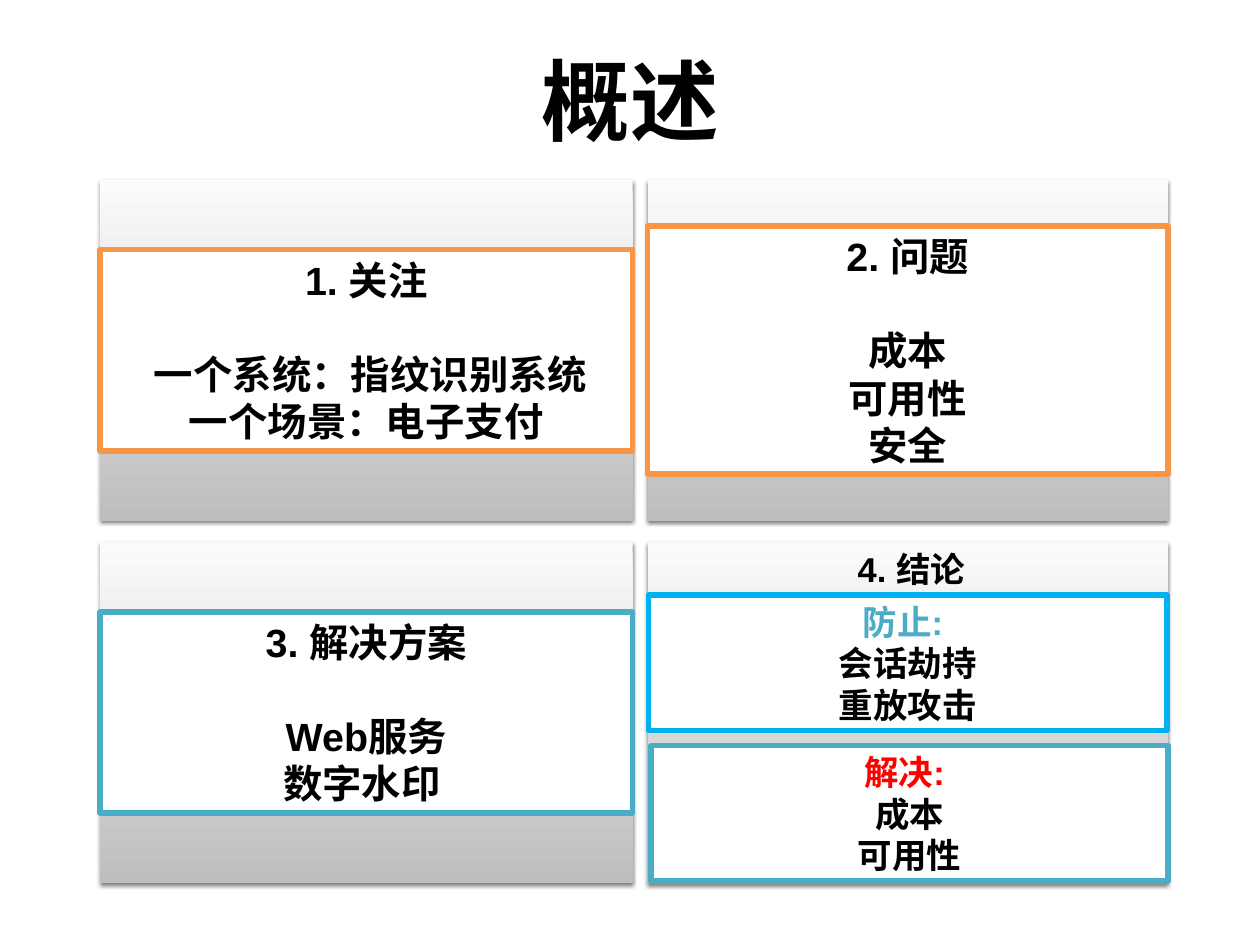
"""Build the overview slide: four grey panels with framed topic boxes."""
from lxml import etree
from pptx import Presentation
from pptx.dml.color import RGBColor
from pptx.enum.shapes import MSO_SHAPE as Shape
from pptx.enum.text import MSO_ANCHOR as Anchor, MSO_AUTO_SIZE as AutoSize, PP_ALIGN as Align
from pptx.oxml.ns import qn
from pptx.util import Inches, Pt

COLORS = {
    "black": "000000", "white": "FFFFFF", "red": "FF0000",
    "orange": "F79646", "teal": "4BACC6", "blue": "00B0F0",
    "light": "FBFBFB", "grey": "BEBEBE",
}
TITLE = "概述"
COLUMNS = [(1.13, 6.01), (7.31, 5.87)]
ROWS = [2.03, 6.12]
PANEL_HEIGHT = 3.85
TOPICS = [
    {"column": 0, "row": 0, "height": 2.27, "frame": "orange",
     "lines": ["1. 关注", " 一个系统：指纹识别系统", "一个场景：电子支付"]},
    {"column": 1, "row": 0, "height": 2.8, "frame": "orange",
     "lines": ["2. 问题", "成本", "可用性", "安全"]},
    {"column": 0, "row": 1, "height": 2.27, "frame": "teal",
     "lines": ["3. 解决方案", "Web服务", "数字水印 "]},
]
CONCLUSION = "4. 结论"
CONCLUSION_BOXES = [
    {"place": (7.32, 6.72, 5.85, 1.53), "frame": "blue", "heading": "teal",
     "lines": ["防止: ", "会话劫持", "重放攻击"]},
    {"place": (7.35, 8.42, 5.83, 1.53), "frame": "teal", "heading": "red",
     "lines": ["解决: ", "成本", "可用性"]},
]


def rgb(name):
    """Return the named colour."""
    return RGBColor.from_string(COLORS[name])


def write(shape, lines, size, font="Arial", heading="black", gap=0,
          anchor=Anchor.MIDDLE, margins=(0.06, 0.06), grow=True):
    """Write centred bold lines; gap is the space in points below the heading."""
    frame = shape.text_frame
    frame.word_wrap = True
    frame.auto_size = AutoSize.SHAPE_TO_FIT_TEXT if grow else AutoSize.NONE
    frame.vertical_anchor = anchor
    frame.margin_left = frame.margin_right = Inches(margins[0])
    frame.margin_top = frame.margin_bottom = Inches(margins[1])
    for index, line in enumerate(lines):
        paragraph = frame.add_paragraph() if index else frame.paragraphs[0]
        paragraph.alignment = Align.CENTER
        paragraph.space_before = Pt(gap if index == 1 else 0)
        run = paragraph.add_run()
        run.text = line
        run.font.name, run.font.size, run.font.bold = font, Pt(size), True
        run.font.color.rgb = rgb("black" if index else heading)


def add_panel(shapes, column, row):
    """Add a grey gradient panel with a soft shadow below it."""
    left, width = COLUMNS[column]
    panel = shapes.add_shape(Shape.RECTANGLE, *map(Inches, (left, ROWS[row], width, PANEL_HEIGHT)))
    panel.fill.gradient()
    panel.fill.gradient_angle = 270
    for stop, position, name in zip(panel.fill.gradient_stops, (0, 1), ("light", "grey")):
        stop.position = position
        stop.color.rgb = rgb(name)
    panel.line.fill.background()
    panel.shadow.inherit = False
    effects = panel.fill._xPr.find(qn("a:effectLst"))
    shadow = etree.SubElement(effects, qn("a:outerShdw"), blurRad=str(Pt(3)), dist=str(Pt(2)),
                              dir="5400000", rotWithShape="0")
    color = etree.SubElement(shadow, qn("a:srgbClr"), val=COLORS["black"])
    etree.SubElement(color, qn("a:alpha"), val="50000")


def add_box(shapes, place, frame, lines, **text_format):
    """Add a white box with a coloured frame and its text."""
    box = shapes.add_shape(Shape.RECTANGLE, *map(Inches, place))
    box.fill.solid()
    box.fill.fore_color.rgb = rgb("white")
    box.line.color.rgb = rgb(frame)
    box.line.width = Pt(4.5)
    box.shadow.inherit = False
    write(box, lines, **text_format)


def main():
    """Lay out the slide and save it."""
    presentation = Presentation()
    presentation.slide_width, presentation.slide_height = Inches(14.22), Inches(10.67)
    slide = presentation.slides.add_slide(presentation.slide_layouts[5])

    title = slide.shapes.title
    title.left, title.top, title.width, title.height = map(Inches, (1.04, 0.49, 12.14, 1.3))
    write(title, [TITLE], 72, font="Calibri", anchor=Anchor.BOTTOM, margins=(0.14, 0.07), grow=False)

    for topic in TOPICS:
        shapes = slide.shapes.add_group_shape().shapes
        add_panel(shapes, topic["column"], topic["row"])
        left, width = COLUMNS[topic["column"]]
        top = ROWS[topic["row"]] + (PANEL_HEIGHT - topic["height"]) / 2
        add_box(shapes, (left, top, width, topic["height"]), topic["frame"], topic["lines"],
                size=32, gap=38)

    shapes = slide.shapes.add_group_shape().shapes
    add_panel(shapes, 1, 1)
    caption = shapes.add_textbox(*map(Inches, (7.35, 6.13, 5.87, 0.58)))
    write(caption, [CONCLUSION], 28)
    for box in CONCLUSION_BOXES:
        add_box(shapes, box["place"], box["frame"], box["lines"], size=28, heading=box["heading"])

    presentation.save("out.pptx")


if __name__ == "__main__":
    main()
